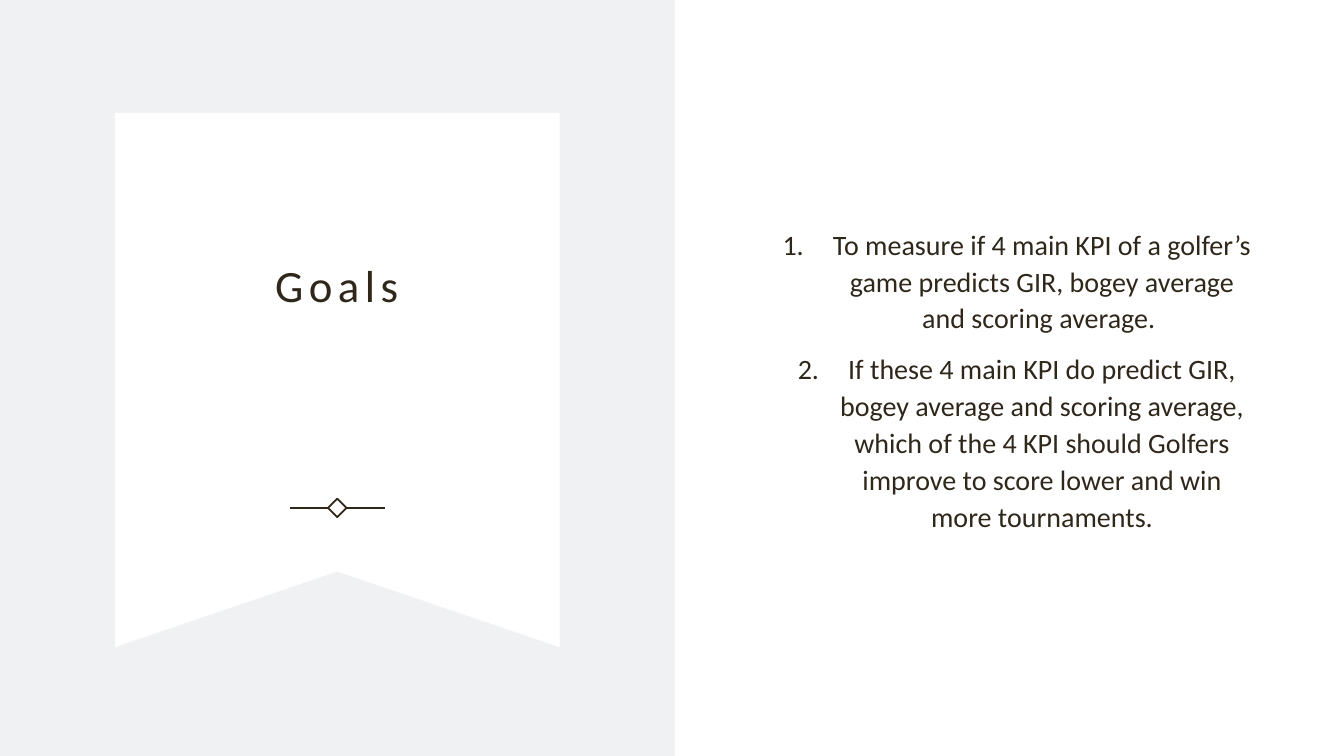
from lxml.etree import SubElement
from pptx import Presentation
from pptx.dml.color import RGBColor
from pptx.enum.shapes import MSO_CONNECTOR, MSO_SHAPE
from pptx.enum.text import MSO_ANCHOR, MSO_AUTO_SIZE, PP_ALIGN
from pptx.oxml.ns import qn
from pptx.util import Inches, Pt

TITLE = "Goals"
GOALS = [
    "To measure if 4 main KPI of a golfer’s game predicts GIR, bogey average and scoring average. ",
    "If these 4 main KPI do predict GIR, bogey average and scoring average, which of the 4 KPI "
    "should Golfers improve to score lower and win more tournaments.",
]
INK, PANEL, WHITE = "30271B", "F0F1F3", "FFFFFF"
FONT = "Calibri"

# Banner outline, in inches
LEFT, RIGHT, TOP, NOTCH, BOTTOM = 1.14, 5.55, 1.12, 5.67, 6.42
CENTER = (LEFT + RIGHT) / 2
ORNAMENT_Y = 5.04
DIAMOND_SIDE, LINE_GAP, LINE_LENGTH = 0.13, 0.08, 0.39


def color(value):
    return RGBColor.from_string(value)


def paint(shape, fill):
    shape.shadow.inherit = False
    shape.fill.solid()
    shape.fill.fore_color.rgb = color(fill)
    shape.line.fill.background()


def outline(line):
    line.color.rgb = color(INK)
    line.width = Pt(1.25)


def style_paragraph(paragraph, size):
    paragraph.alignment = PP_ALIGN.CENTER
    paragraph.line_spacing = 1.1
    for run in paragraph.runs:
        run.font.name = FONT
        run.font.size = Pt(size)
        run.font.color.rgb = color(INK)


def prepare_frame(text_frame):
    text_frame.word_wrap = True
    text_frame.auto_size = MSO_AUTO_SIZE.NONE
    text_frame.vertical_anchor = MSO_ANCHOR.MIDDLE


def number_paragraph(paragraph):
    properties = paragraph._p.get_or_add_pPr()
    properties.set("marL", str(Inches(0.5)))
    properties.set("indent", str(-Inches(0.5)))
    SubElement(properties, qn("a:buFont"), typeface="+mj-lt")
    SubElement(properties, qn("a:buAutoNum"), type="arabicPeriod")


def add_banner(slide):
    panel = slide.shapes.add_shape(MSO_SHAPE.RECTANGLE, 0, 0, Inches(6.69), Inches(7.5))
    paint(panel, PANEL)
    corners = [(LEFT, TOP), (RIGHT, TOP), (RIGHT, BOTTOM), (CENTER, NOTCH), (LEFT, BOTTOM)]
    points = [(Inches(x), Inches(y)) for x, y in corners]
    builder = slide.shapes.build_freeform(*points[0])
    builder.add_line_segments(points[1:], close=True)
    paint(builder.convert_to_shape(), WHITE)


def add_ornament(slide):
    group = slide.shapes.add_group_shape()
    diamond = group.shapes.add_shape(
        MSO_SHAPE.RECTANGLE,
        Inches(CENTER - DIAMOND_SIDE / 2), Inches(ORNAMENT_Y - DIAMOND_SIDE / 2),
        Inches(DIAMOND_SIDE), Inches(DIAMOND_SIDE))
    diamond.rotation = 45
    diamond.shadow.inherit = False
    diamond.fill.background()
    outline(diamond.line)
    for side in (-1, 1):
        inner = CENTER + side * LINE_GAP
        outer = inner + side * LINE_LENGTH
        connector = group.shapes.add_connector(
            MSO_CONNECTOR.STRAIGHT,
            Inches(inner), Inches(ORNAMENT_Y), Inches(outer), Inches(ORNAMENT_Y))
        outline(connector.line)
        SubElement(connector._element.spPr, qn("a:effectLst"))


def add_title(slide):
    title = slide.shapes.title
    # Bring the title in front of the banner
    slide.shapes._spTree.append(title._element)
    title.left, title.top, title.width, title.height = map(Inches, (1.5, 1.48, 3.68, 3.14))
    text_frame = title.text_frame
    text_frame.text = TITLE
    prepare_frame(text_frame)
    text_frame.margin_bottom = Inches(0.55)  # lifts the title above the middle
    paragraph = text_frame.paragraphs[0]
    style_paragraph(paragraph, 32)
    paragraph.runs[0].font._element.set("spc", "390")


def add_goals(slide):
    box = slide.shapes.add_textbox(Inches(7.66), Inches(0.95), Inches(4.85), Inches(5.61))
    text_frame = box.text_frame
    text_frame.text = "\n".join(GOALS)
    prepare_frame(text_frame)
    for index, paragraph in enumerate(text_frame.paragraphs):
        number_paragraph(paragraph)
        style_paragraph(paragraph, 20)
        if index:
            paragraph.space_before = Pt(10)


def main():
    presentation = Presentation()
    presentation.slide_width = Inches(13.33)
    presentation.slide_height = Inches(7.5)
    slide = presentation.slides.add_slide(presentation.slide_layouts[5])
    slide.background.fill.solid()
    slide.background.fill.fore_color.rgb = color(WHITE)
    add_banner(slide)
    add_ornament(slide)
    add_title(slide)
    add_goals(slide)
    presentation.save("out.pptx")


if __name__ == "__main__":
    main()
